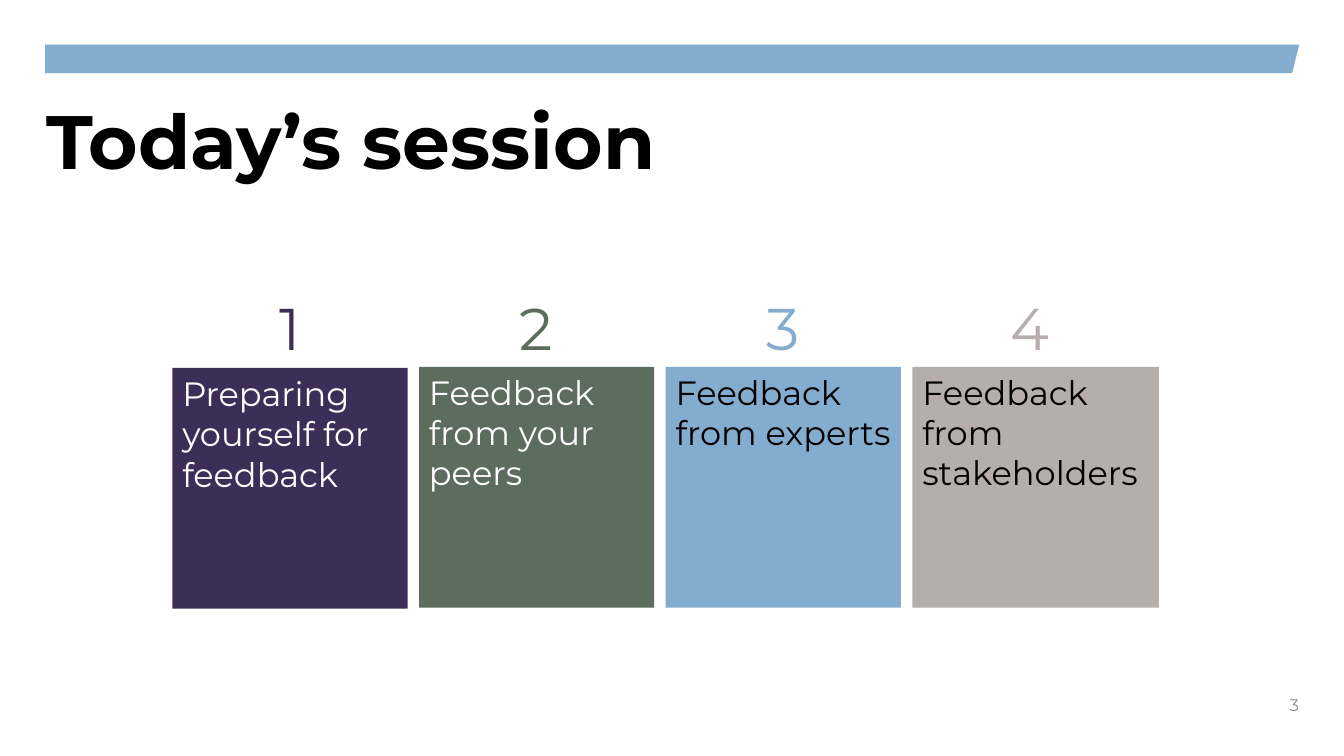
from pptx import Presentation
from pptx.dml.color import RGBColor
from pptx.enum.shapes import MSO_SHAPE as Shape
from pptx.enum.text import MSO_ANCHOR as Anchor, MSO_AUTO_SIZE as AutoSize, PP_ALIGN as Align
from pptx.util import Pt

FONT = "Montserrat"
BLACK, WHITE, GREY = "000000", "FFFFFF", "8C8C8C"
PURPLE, GREEN, BLUE, STONE = "3D2E58", "5C6C5D", "83ACCE", "B5AEAC"
CARD_LEFT, CARD_PITCH, CARD_WIDTH = 123.1, 176.2, 168
NUMERAL_WIDTH = 34


def color(hex_code):
    return RGBColor.from_string(hex_code)


class SlideBuilder:
    """Holds the font and the current slide; all lengths are in points."""

    def __init__(self, slide, font):
        self.slide = slide
        self.font = font

    def set_text(self, shape, text, size, ink, align=Align.LEFT, anchor=Anchor.TOP,
                 bold=False, wrap=True, insets=(7.2, 3.6, 7.2, 3.6)):
        frame = shape.text_frame
        frame.auto_size = AutoSize.NONE
        frame.word_wrap = wrap
        frame.vertical_anchor = anchor
        (frame.margin_left, frame.margin_top,
         frame.margin_right, frame.margin_bottom) = map(Pt, insets)
        paragraph = frame.paragraphs[0]
        paragraph.alignment = align
        run = paragraph.add_run()
        run.text = text
        run.font.name = self.font
        run.font.size = Pt(size)
        run.font.bold = bold
        run.font.color.rgb = color(ink)
        return paragraph

    def paint(self, shape, fill):
        shape.shadow.inherit = False
        shape.fill.solid()
        shape.fill.fore_color.rgb = color(fill)
        shape.line.fill.background()

    def band(self, points, fill):
        start, *rest = [(Pt(x), Pt(y)) for x, y in points]
        outline = self.slide.shapes.build_freeform(*start)
        outline.add_line_segments(rest, close=True)
        self.paint(outline.convert_to_shape(), fill)

    def title(self, text, box):
        heading = self.slide.shapes.title
        heading.left, heading.top, heading.width, heading.height = map(Pt, box)
        paragraph = self.set_text(heading, text, 54, BLACK, bold=True, insets=(0, 0, 0, 0))
        paragraph.line_spacing = 0.9

    def label(self, text, box, size, ink, **style):
        self.set_text(self.slide.shapes.add_textbox(*map(Pt, box)), text, size, ink, **style)

    def card(self, text, box, fill, ink):
        panel = self.slide.shapes.add_shape(Shape.RECTANGLE, *map(Pt, box))
        self.paint(panel, fill)
        self.set_text(panel, text, 24, ink)


def main():
    deck = Presentation()
    deck.slide_width, deck.slide_height = Pt(960), Pt(540)
    builder = SlideBuilder(deck.slides.add_slide(deck.slide_layouts[5]), FONT)

    builder.band([(32.2, 31.9), (928, 31.9), (923, 52.3), (32.2, 52.3)], BLUE)
    builder.title("Today’s session", (33.1, 74.2, 815, 59))
    builder.label("3", (712, 489, 216, 28.8), 12, GREY, align=Align.RIGHT,
                  anchor=Anchor.MIDDLE, insets=(7.2, 3.6, 0, 3.6))

    # Topic, fill, text colour, top, width
    sessions = [
        ("Preparing yourself for feedback", PURPLE, WHITE, 262.8, CARD_WIDTH),
        ("Feedback from your peers", GREEN, WHITE, 262, CARD_WIDTH),
        ("Feedback from experts", BLUE, BLACK, 262, CARD_WIDTH),
        ("Feedback from stakeholders", STONE, BLACK, 262, 176),
    ]
    for index, (topic, fill, ink, top, width) in enumerate(sessions):
        left = CARD_LEFT + index * CARD_PITCH
        builder.card(topic, (left, top, width, 172), fill, ink)
        numeral_left = left + (CARD_WIDTH - NUMERAL_WIDTH) / 2
        builder.label(str(index + 1), (numeral_left, 204.6, NUMERAL_WIDTH, 58.2),
                      42, fill, align=Align.CENTER, wrap=False)

    deck.save("out.pptx")


if __name__ == "__main__":
    main()
